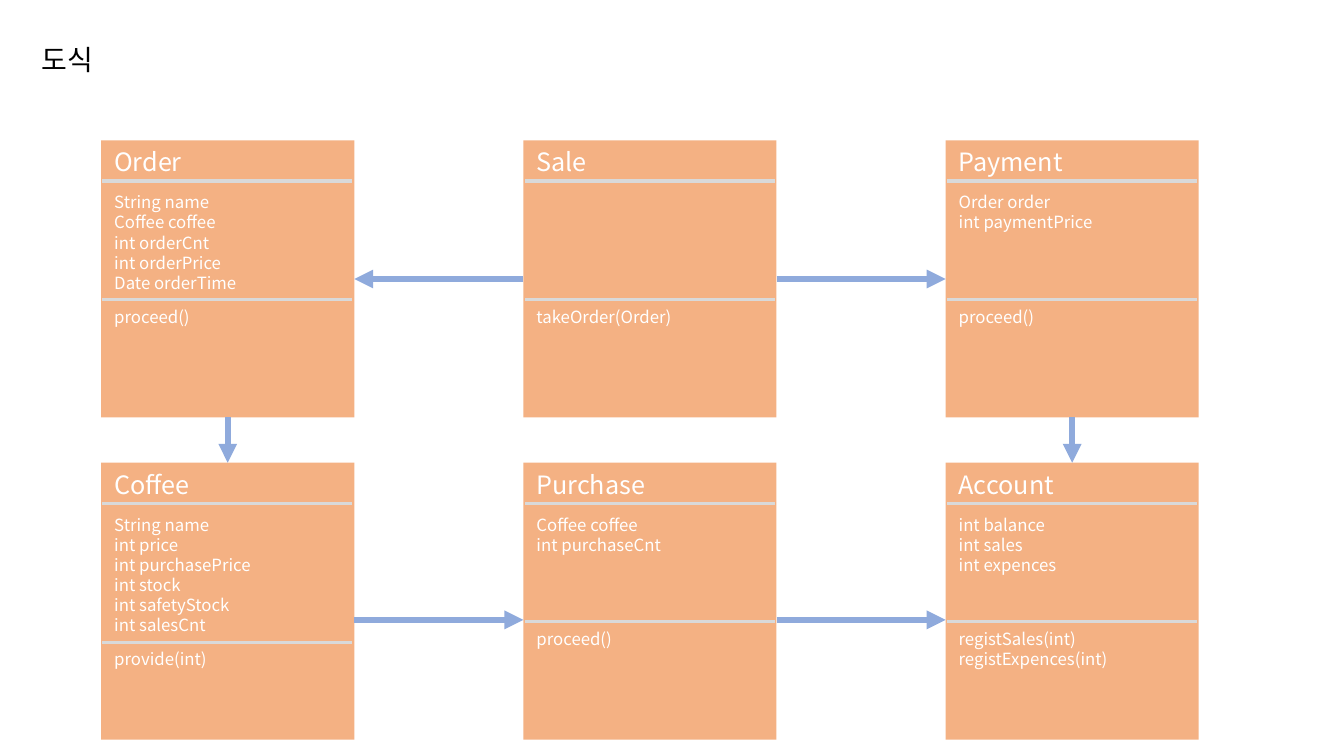
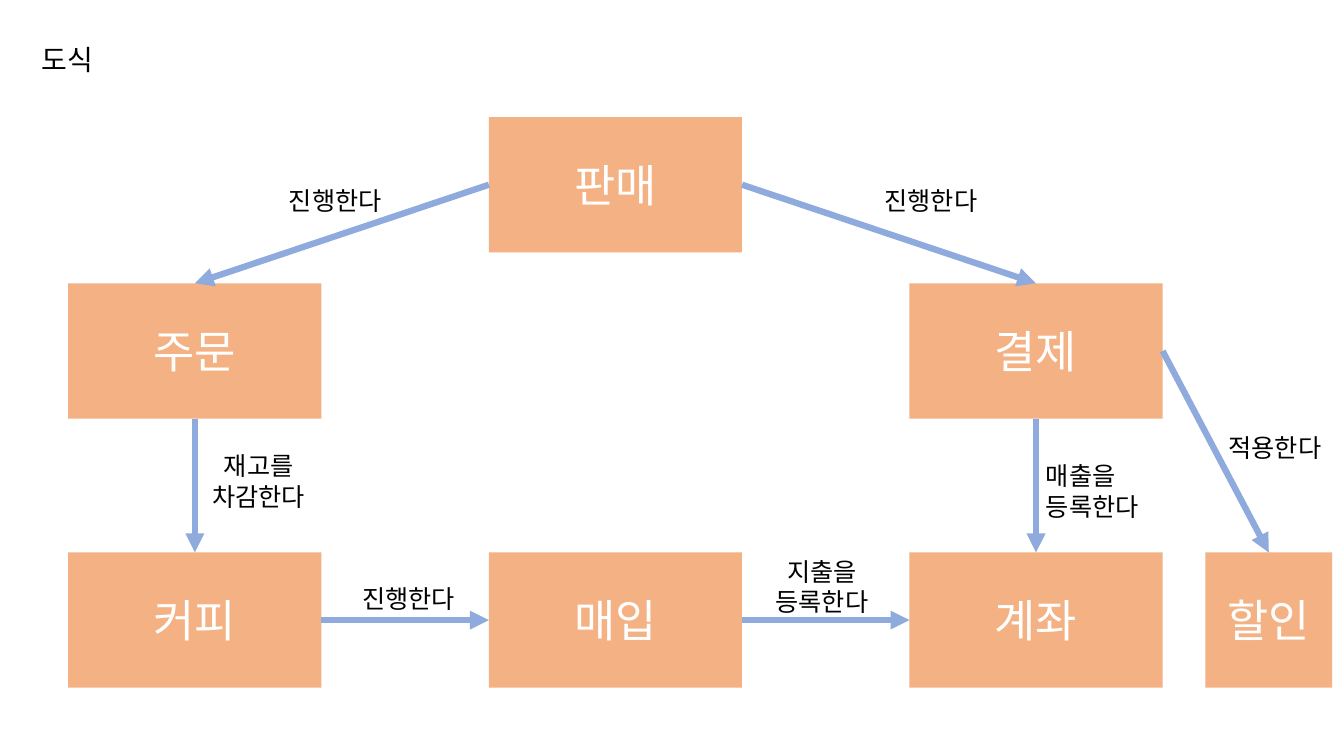
import lxml.etree
import pptx
import pptx.dml.color
import pptx.enum.shapes
import pptx.enum.text
import pptx.oxml.ns
import pptx.util

Cm = pptx.util.Cm
Pt = pptx.util.Pt
RGBColor = pptx.dml.color.RGBColor
ALIGN = pptx.enum.text.PP_ALIGN
ANCHOR = pptx.enum.text.MSO_ANCHOR
STRAIGHT = pptx.enum.shapes.MSO_CONNECTOR.STRAIGHT
RECTANGLE = pptx.enum.shapes.MSO_SHAPE.RECTANGLE

ORANGE = RGBColor(0xF4, 0xB1, 0x83)
BLUE = RGBColor(0x8F, 0xAA, 0xDC)
GREY = RGBColor(0xD9, 0xD9, 0xD9)
WHITE = RGBColor(0xFF, 0xFF, 0xFF)
BLACK = RGBColor(0x00, 0x00, 0x00)

FONT = "Noto Sans CJK KR"
LINE_PITCH = 1.2
TITLE = "도식"
TITLE_BOX = (0.79, 0.94, 32.4, 1.12)
TOP, LEFT, BOTTOM, RIGHT = range(4)

TITLE_TEXT = {"size": Pt(20), "color": BLACK}
CLASS_NAME = {"size": Pt(18), "color": WHITE}
MEMBER = {"size": Pt(12), "color": WHITE}
CONCEPT = {"size": Pt(32), "color": WHITE}
RELATION = {"size": Pt(18), "color": BLACK}

CLASS_SIZE = (6.38, 6.98)
CLASS_LEFT, CLASS_TOP = 2.55, 3.54
CLASS_PITCH_X, CLASS_PITCH_Y = 10.64, 8.12
HEADER_HEIGHT = 1.02
FLOW_Y = 15.62

CLASSES = [
    ("Order", 0, 0, 4.0, ["String name", "Coffee coffee", "int orderCnt",
                          "int orderPrice", "Date orderTime"], ["proceed()"]),
    ("Sale", 1, 0, 4.0, [], ["takeOrder(Order)"]),
    ("Payment", 2, 0, 4.0, ["Order order", "int paymentPrice"], ["proceed()"]),
    ("Coffee", 0, 1, 4.52, ["String name", "int price", "int purchasePrice",
                            "int stock", "int safetyStock", "int salesCnt"],
     ["provide(int)"]),
    ("Purchase", 1, 1, 4.0, ["Coffee coffee", "int purchaseCnt"], ["proceed()"]),
    ("Account", 2, 1, 4.0, ["int balance", "int sales", "int expences"],
     ["registSales(int)", "registExpences(int)"]),
]
CLASS_LINKS = [
    ("Sale", LEFT, "Order", RIGHT),
    ("Sale", RIGHT, "Payment", LEFT),
    ("Order", BOTTOM, "Coffee", TOP),
    ("Payment", BOTTOM, "Account", TOP),
]
CLASS_FLOWS = [("Coffee", "Purchase"), ("Purchase", "Account")]

CONCEPT_WIDTH, CONCEPT_HEIGHT = 6.38, 3.41
CONCEPT_X = [1.72 + 10.6 * column for column in range(3)]
CONCEPT_Y = [2.95, 7.14, 13.92]
CONCEPTS = [
    ("판매", CONCEPT_X[1], CONCEPT_Y[0], CONCEPT_WIDTH),
    ("주문", CONCEPT_X[0], CONCEPT_Y[1], CONCEPT_WIDTH),
    ("결제", CONCEPT_X[2], CONCEPT_Y[1], CONCEPT_WIDTH),
    ("커피", CONCEPT_X[0], CONCEPT_Y[2], CONCEPT_WIDTH),
    ("매입", CONCEPT_X[1], CONCEPT_Y[2], CONCEPT_WIDTH),
    ("계좌", CONCEPT_X[2], CONCEPT_Y[2], CONCEPT_WIDTH),
    ("할인", 30.38, CONCEPT_Y[2], 3.19),
]
RELATIONS = [
    ("판매", LEFT, "주문", TOP, ["진행한다"], (6.86, 4.55, 3.18, 1.02), ALIGN.CENTER),
    ("판매", RIGHT, "결제", TOP, ["진행한다"], (21.87, 4.55, 3.18, 1.02), ALIGN.CENTER),
    ("주문", BOTTOM, "커피", TOP, ["재고를", "차감한다"],
     (4.93, 11.23, 3.18, 1.8), ALIGN.CENTER),
    ("결제", BOTTOM, "계좌", TOP, ["매출을", "등록한다"],
     (26.11, 11.48, 3.63, 1.8), ALIGN.LEFT),
    ("결제", RIGHT, "할인", TOP, ["적용한다"], (30.71, 10.77, 3.63, 1.02), ALIGN.LEFT),
    ("커피", RIGHT, "매입", LEFT, ["진행한다"], (8.71, 14.58, 3.18, 1.02), ALIGN.CENTER),
    ("매입", RIGHT, "계좌", LEFT, ["지출을", "등록한다"],
     (18.85, 13.89, 3.73, 1.8), ALIGN.CENTER),
]


def write(frame, lines, style, align=ALIGN.LEFT, anchor=ANCHOR.TOP):
    """Fill a text frame with one paragraph per line in the given style."""
    layout = {"word_wrap": True, "vertical_anchor": anchor,
              "auto_size": pptx.enum.text.MSO_AUTO_SIZE.NONE,
              "margin_left": Cm(0.25), "margin_right": Cm(0.25),
              "margin_top": Cm(0.13), "margin_bottom": Cm(0.13)}
    for key, value in layout.items():
        setattr(frame, key, value)
    spacing = {"alignment": align, "space_before": Pt(0),
               "line_spacing": Pt(style["size"].pt * LINE_PITCH)}
    for index, line in enumerate(lines):
        paragraph = frame.add_paragraph() if index else frame.paragraphs[0]
        for key, value in spacing.items():
            setattr(paragraph, key, value)
        run = paragraph.add_run()
        run.text = line
        for key, value in {"name": FONT, "size": style["size"]}.items():
            setattr(run.font, key, value)
        run.font.color.rgb = style["color"]
        east_asian = lxml.etree.SubElement(
            run.font._element, pptx.oxml.ns.qn("a:ea"))
        east_asian.set("typeface", FONT)


def add_text(slide, box, lines, style, align=ALIGN.LEFT):
    """Place a text box in the given box."""
    area = slide.shapes.add_textbox(*map(Cm, box))
    write(area.text_frame, lines, style, align)


def add_panel(slide, box):
    """Place a plain orange rectangle in the given box."""
    panel = slide.shapes.add_shape(RECTANGLE, *map(Cm, box))
    panel.shadow.inherit = False
    panel.fill.solid()
    panel.fill.fore_color.rgb = ORANGE
    panel.line.fill.background()
    return panel


def add_line(slide, points, color, width):
    """Draw a straight line through begin and end coordinates."""
    line = slide.shapes.add_connector(STRAIGHT, *points)
    line.line.color.rgb = color
    line.line.width = Pt(width)
    lxml.etree.SubElement(line._element.spPr, pptx.oxml.ns.qn("a:effectLst"))
    return line


def add_arrow(slide, points=(0, 0, 0, 0)):
    """Draw a blue line with a triangle at its end."""
    arrow = add_line(slide, points, BLUE, 4.5)
    head = lxml.etree.SubElement(
        arrow.line._get_or_add_ln(), pptx.oxml.ns.qn("a:tailEnd"))
    head.set("type", "triangle")
    return arrow


def link(slide, source, source_side, target, target_side):
    """Attach an arrow to the sides of two panels."""
    arrow = add_arrow(slide)
    arrow.begin_connect(source, source_side)
    arrow.end_connect(target, target_side)


def add_titled_slide(deck):
    """Add a title-only slide with the shared title."""
    slide = deck.slides.add_slide(deck.slide_layouts[5])
    title = slide.shapes.title
    for key, value in zip(("left", "top", "width", "height"), TITLE_BOX):
        setattr(title, key, Cm(value))
    write(title.text_frame, [TITLE], TITLE_TEXT)
    return slide


def add_class(slide, box, name, divider, fields, methods):
    """Draw a class panel with its name, fields and methods."""
    left, top, width, height = box
    panel = add_panel(slide, box)
    for offset in (HEADER_HEIGHT, divider):
        y = Cm(top + offset)
        add_line(slide, (Cm(left + 0.03), y, Cm(left + width - 0.05), y), GREY, 2.25)
    sections = [
        (0.03, HEADER_HEIGHT, [name], CLASS_NAME),
        (1.17, divider - 1.17, fields, MEMBER),
        (divider + 0.05, height - divider - 0.05, methods, MEMBER),
    ]
    for offset, depth, lines, style in sections:
        if lines:
            add_text(slide, (left + 0.08, top + offset, width - 0.16, depth),
                     lines, style)
    return panel


def build_class_diagram(deck):
    """Build the slide of classes and their arrows."""
    slide = add_titled_slide(deck)
    panels = {}
    for name, column, row, divider, fields, methods in CLASSES:
        box = (CLASS_LEFT + CLASS_PITCH_X * column,
               CLASS_TOP + CLASS_PITCH_Y * row, *CLASS_SIZE)
        panels[name] = add_class(slide, box, name, divider, fields, methods)
    for source, source_side, target, target_side in CLASS_LINKS:
        link(slide, panels[source], source_side, panels[target], target_side)
    for source, target in CLASS_FLOWS:
        start = panels[source].left + panels[source].width
        add_arrow(slide, (start, Cm(FLOW_Y), panels[target].left, Cm(FLOW_Y)))


def build_concept_diagram(deck):
    """Build the slide of concepts and their labelled relations."""
    slide = add_titled_slide(deck)
    panels = {}
    for name, left, top, width in CONCEPTS:
        panels[name] = add_panel(slide, (left, top, width, CONCEPT_HEIGHT))
        write(panels[name].text_frame, [name], CONCEPT, ALIGN.CENTER, ANCHOR.MIDDLE)
    for source, source_side, target, target_side, label, box, align in RELATIONS:
        link(slide, panels[source], source_side, panels[target], target_side)
        add_text(slide, box, label, RELATION, align)


def main():
    """Build and save the presentation."""
    deck = pptx.Presentation()
    deck.slide_width = Cm(33.87)
    deck.slide_height = Cm(19.05)
    build_class_diagram(deck)
    build_concept_diagram(deck)
    deck.save("out.pptx")


if __name__ == "__main__":
    main()
